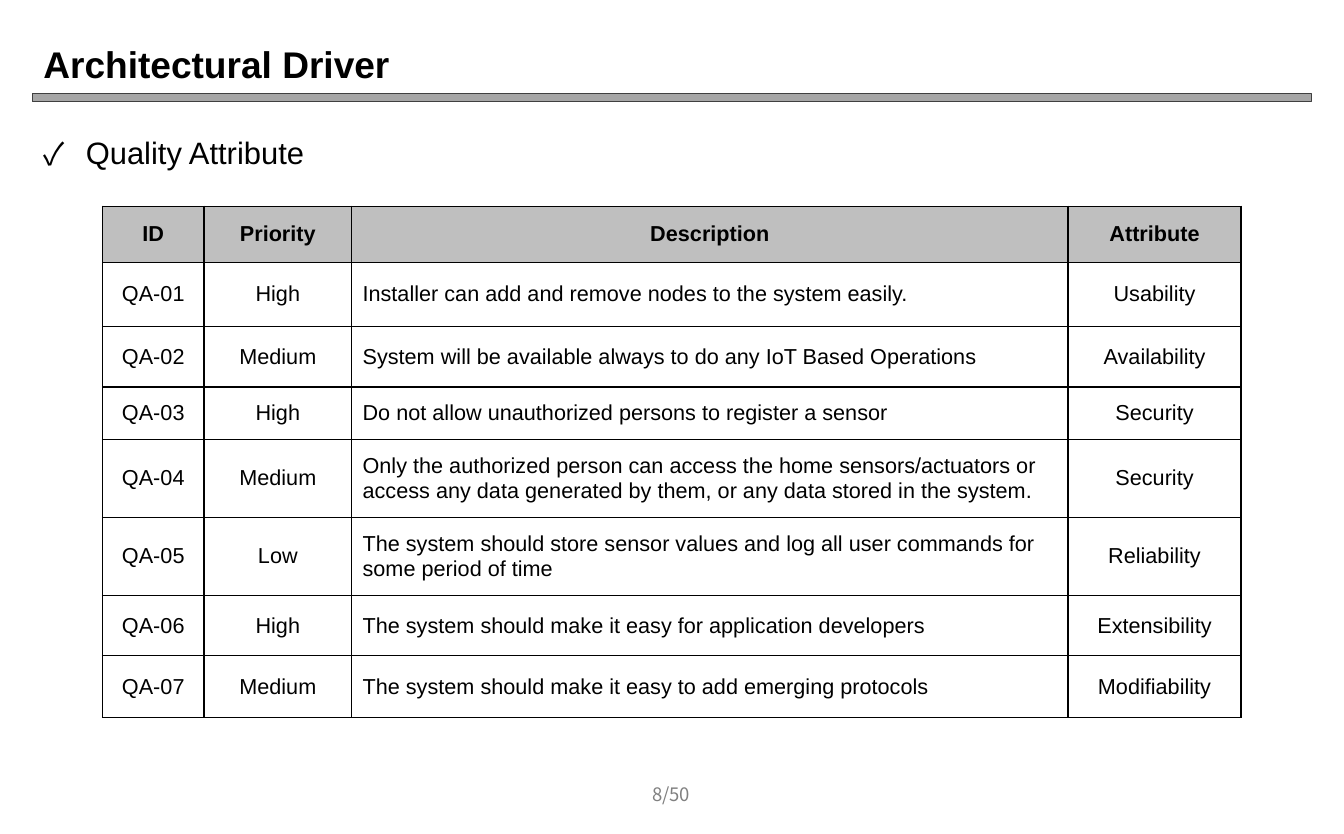
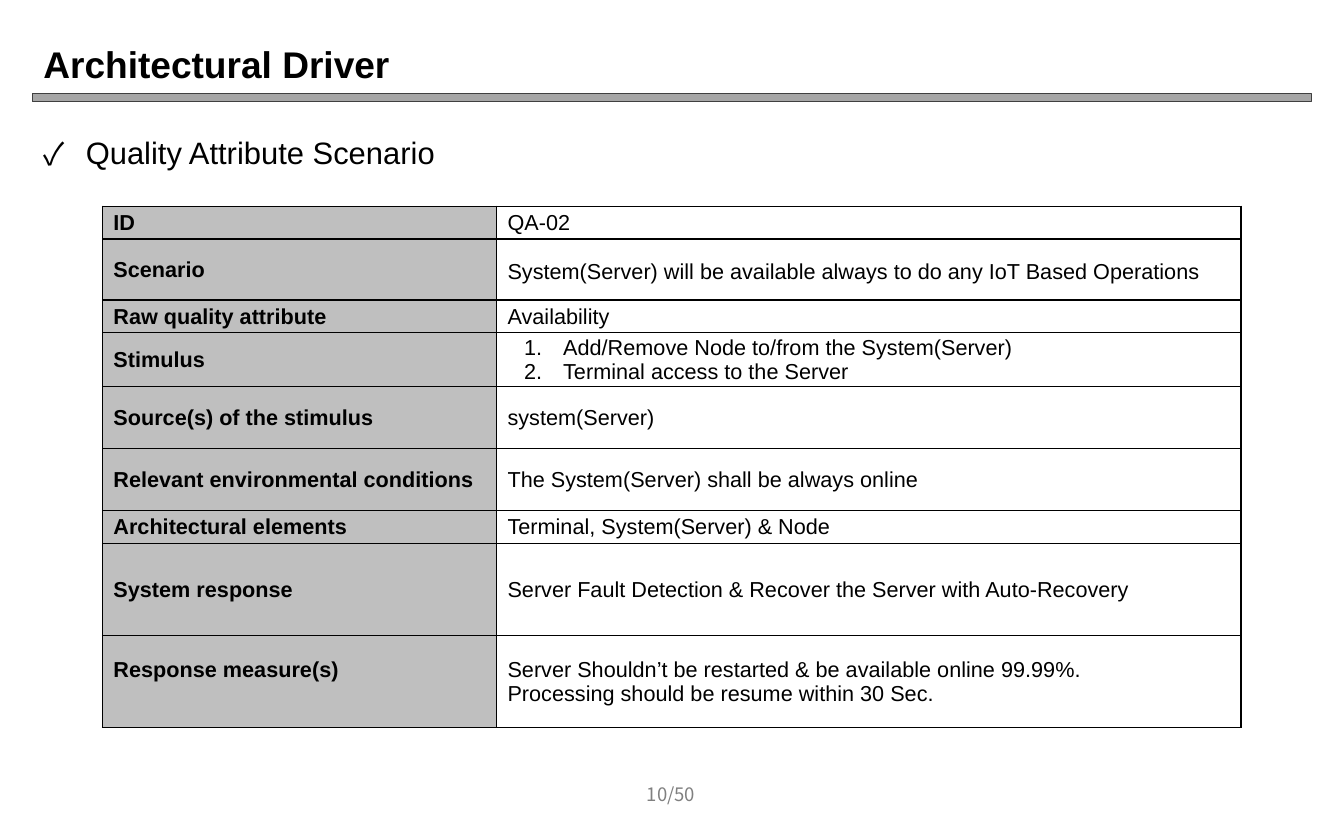
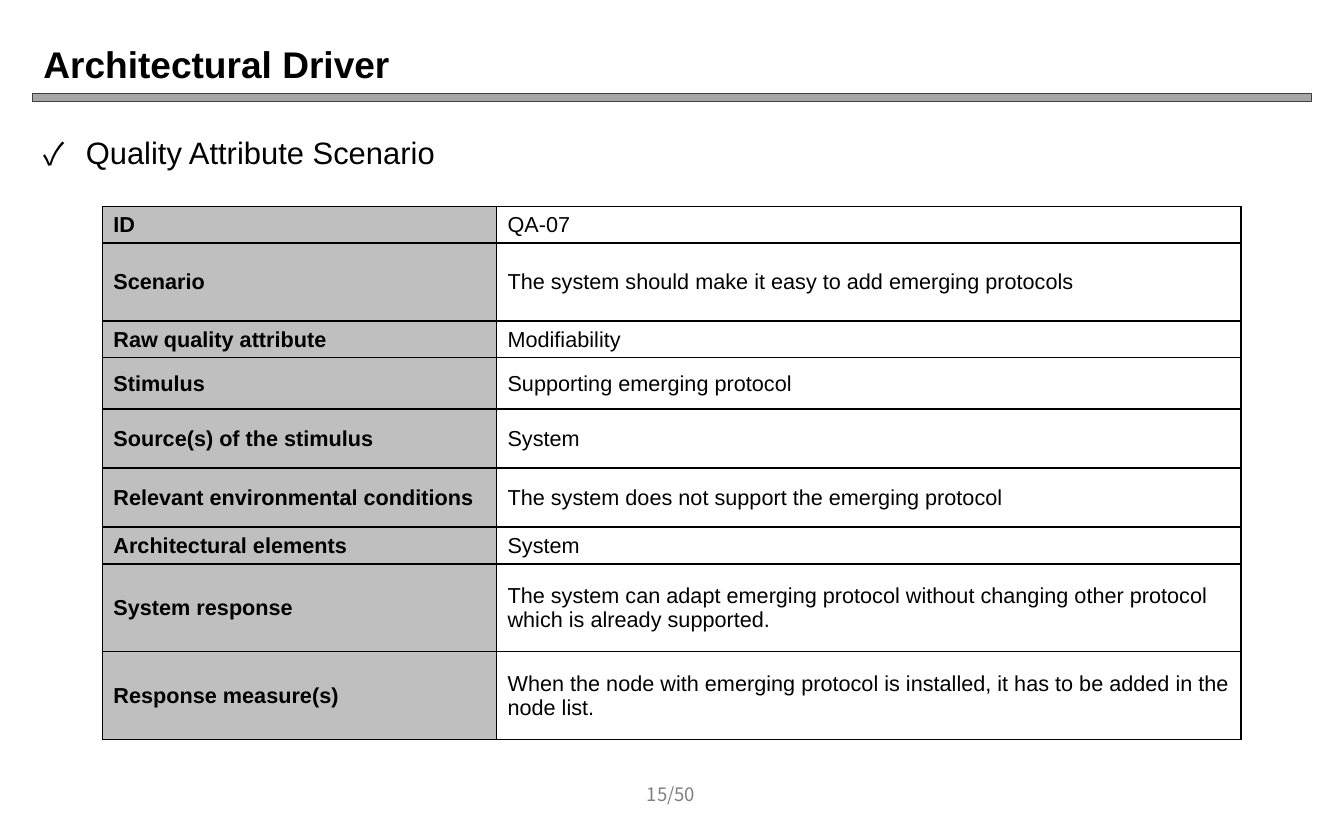
"""Build three slides on the quality attributes of a system."""
from lxml.etree import SubElement
from pptx import Presentation
from pptx.dml.color import RGBColor
from pptx.enum.shapes import MSO_SHAPE
from pptx.enum.text import MSO_ANCHOR, PP_ALIGN
from pptx.oxml import parse_xml
from pptx.oxml.ns import nsdecls, qn
from pptx.util import Cm, Pt

BLACK = RGBColor(0x00, 0x00, 0x00)
WHITE = RGBColor(0xFF, 0xFF, 0xFF)
HEAD = RGBColor(0xBF, 0xBF, 0xBF)
BAND = RGBColor(0xA6, 0xA6, 0xA6)
EDGE = RGBColor(0x40, 0x40, 0x40)
GRAY = RGBColor(0x80, 0x80, 0x80)
SANS, NOTO = "Arial", "Noto Sans CJK KR"

TITLE = "Architectural Driver"
TOTAL = 50
LEFT, WIDE = 0.74, 29.2
CHECK = ("buChar", {"char": "✓"}, NOTO, 0.97, 0.97)
COUNT = ("buAutoNum", {"type": "arabicPeriod"}, SANS, 1.27, 0.89)

GOALS = [
    ("ID", "Priority", "Description", "Attribute"),
    ("QA-01", "High", "Installer can add and remove nodes to the system easily.", "Usability"),
    ("QA-02", "Medium", "System will be available always to do any IoT Based Operations",
     "Availability"),
    ("QA-03", "High", "Do not allow unauthorized persons to register a sensor", "Security"),
    ("QA-04", "Medium", "Only the authorized person can access the home sensors/actuators or "
     "access any data generated by them, or any data stored in the system.", "Security"),
    ("QA-05", "Low", "The system should store sensor values and log all user commands for "
     "some period of time", "Reliability"),
    ("QA-06", "High", "The system should make it easy for application developers",
     "Extensibility"),
    ("QA-07", "Medium", "The system should make it easy to add emerging protocols",
     "Modifiability"),
]
GOAL_COLS = (2.32, 3.37, 16.36, 3.95)
GOAL_ROWS = (1.28, 1.46, 1.39, 1.2, 1.78, 1.78, 1.38, 1.41)

LABELS = ("ID", "Scenario", "Raw quality attribute", "Stimulus", "Source(s) of the stimulus",
          "Relevant environmental conditions", "Architectural elements", "System response",
          "Response measure(s)")
CASE_COLS = (9, 17)
SERVER = (
    "QA-02",
    "System(Server) will be available always to do any IoT Based Operations",
    "Availability",
    ("Add/Remove Node to/from the System(Server)", "Terminal access to the Server"),
    "system(Server)",
    "The System(Server) shall be always online",
    "Terminal, System(Server) & Node",
    "Server Fault Detection & Recover the Server with Auto-Recovery",
    ("Server Shouldn’t be restarted & be available online 99.99%.",
     "Processing should be resume within 30 Sec."),
)
SERVER_ROWS = (0.75, 1.39, 0.75, 1.23, 1.41, 1.42, 0.75, 2.1, 2.11)
SERVER_STYLE = {(1, 1): {"line": 1.15}, (3, 1): {"mark": COUNT}, (8, 0): {"foot": 0.56}}
GROWTH = (
    "QA-07",
    "The system should make it easy to add emerging protocols",
    "Modifiability",
    "Supporting emerging protocol",
    "System",
    "The system does not support the emerging protocol",
    "System",
    "The system can adapt emerging protocol without changing other protocol which is already "
    "supported.",
    "When the node with emerging protocol is installed, it has to be added in the node list.",
)
GROWTH_ROWS = (0.84, 1.78, 0.84, 1.17, 1.35, 1.35, 0.84, 2.01, 2.01)


def put(frame, text, size=14, color=BLACK, font=SANS, bold=False, align=PP_ALIGN.LEFT,
        line=None, before=None, mark=None):
    """Write one paragraph per string in the given format."""
    for n, part in enumerate([text] if isinstance(text, str) else text):
        para = frame.add_paragraph() if n else frame.paragraphs[0]
        para.alignment = align
        if line:
            para.line_spacing = line
        if before:
            para.space_before = Pt(before)
        if mark:
            tag, attrs, face, margin, hang = mark
            props = para._p.get_or_add_pPr()
            props.set("marL", str(Cm(margin)))
            props.set("indent", str(-Cm(hang)))
            SubElement(props, qn("a:buFont"), {"typeface": face})
            SubElement(props, qn("a:" + tag), attrs)
        run = para.add_run()
        run.text = part
        run.font.name, run.font.size, run.font.bold = font, Pt(size), bold
        run.font.color.rgb = color


def add_box(slide, text, left, top, width, height, anchor=MSO_ANCHOR.MIDDLE, **style):
    """Add a wrapping text box."""
    frame = slide.shapes.add_textbox(Cm(left), Cm(top), Cm(width), Cm(height)).text_frame
    frame.word_wrap = True
    frame.vertical_anchor = anchor
    put(frame, text, **style)


def add_edges(cell):
    """Draw a thin black line on all four sides of a cell."""
    props = cell._tc.get_or_add_tcPr()
    for n, side in enumerate("LRTB"):
        props.insert(n, parse_xml(
            f'<a:ln{side} {nsdecls("a")} w="{Pt(1)}"><a:solidFill>'
            f'<a:srgbClr val="{BLACK}"/></a:solidFill></a:ln{side}>'))


def add_grid(slide, data, cols, rows, look):
    """Add a table whose cell formats come from look(row, column)."""
    table = slide.shapes.add_table(len(rows), len(cols), Cm(2.34), Cm(4.71),
                                   Cm(sum(cols)), Cm(sum(rows))).table
    table.first_row = table.horz_banding = False
    for col, width in zip(table.columns, cols):
        col.width = Cm(width)
    for r, line in enumerate(data):
        table.rows[r].height = Cm(rows[r])
        for c, text in enumerate(line):
            cell = table.cell(r, c)
            fill, top, foot, style = look(r, c)
            cell.vertical_anchor = MSO_ANCHOR.MIDDLE
            cell.margin_left = cell.margin_right = Cm(0.25)
            cell.margin_top, cell.margin_bottom = Cm(top), Cm(foot)
            if fill:
                cell.fill.solid()
                cell.fill.fore_color.rgb = fill
            else:
                cell.fill.background()
            add_edges(cell)
            put(cell.text_frame, text, **style)


def goal_look(r, c):
    """Format the list of goals: gray top row, centred but for descriptions."""
    align = PP_ALIGN.LEFT if r and c == 2 else PP_ALIGN.CENTER
    return (WHITE if r else HEAD), 0.13, 0.13, {"bold": r == 0, "align": align}


def case_look(extra):
    """Make the format of a scenario: gray label column, plain values."""
    def look(r, c):
        style = {"bold": c == 0, **extra.get((r, c), {})}
        foot = style.pop("foot", 0)
        return (None if c else HEAD), 0.02, foot, style
    return look


def add_page(deck, topic, number):
    """Add a slide with the shared title, band, topic and page number."""
    slide = deck.slides.add_slide(deck.slide_layouts[6])
    band = slide.shapes.add_shape(MSO_SHAPE.FLOWCHART_PROCESS, Cm(LEFT), Cm(2.13),
                                  Cm(WIDE), Cm(0.19))
    band.shadow.inherit = False
    band.fill.solid()
    band.fill.fore_color.rgb = BAND
    band.line.color.rgb = EDGE
    band.line.width = Pt(0.75)
    add_box(slide, topic, LEFT, 2.92, WIDE, 14.4, anchor=MSO_ANCHOR.TOP, size=20,
            before=2, mark=CHECK)
    add_box(slide, f"{number}/{TOTAL}", 13.94, 17.64, 2.77, 1.02, size=12, color=GRAY,
            font=NOTO, align=PP_ALIGN.CENTER)
    add_box(slide, TITLE, LEFT, 0.76, WIDE, 1.37, size=24, bold=True)
    return slide


PAGES = [
    ("Quality Attribute", 8, GOALS, GOAL_COLS, GOAL_ROWS, goal_look),
    ("Quality Attribute Scenario", 10, zip(LABELS, SERVER), CASE_COLS, SERVER_ROWS,
     case_look(SERVER_STYLE)),
    ("Quality Attribute Scenario", 15, zip(LABELS, GROWTH), CASE_COLS, GROWTH_ROWS,
     case_look({})),
]

deck = Presentation()
deck.slide_width, deck.slide_height = Cm(30.69), Cm(19.05)
for topic, number, *grid in PAGES:
    add_grid(add_page(deck, topic, number), *grid)
deck.save("out.pptx")
